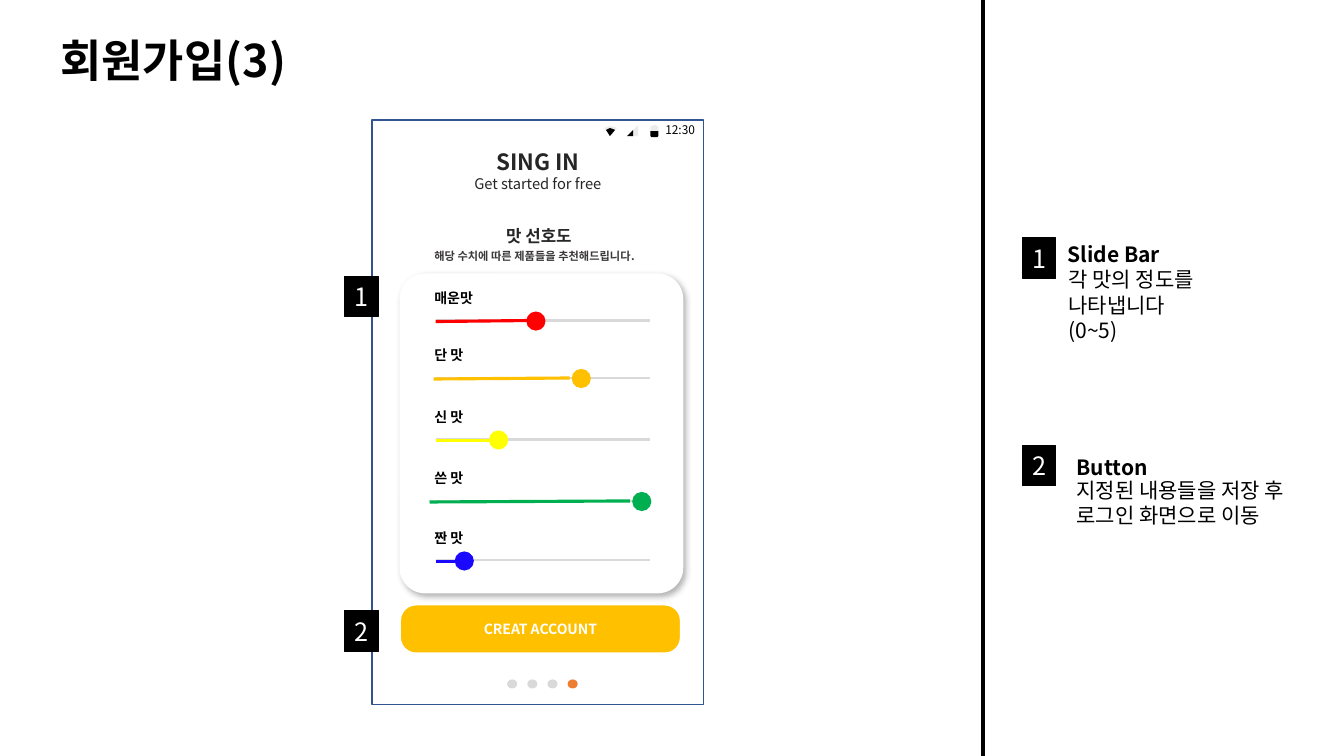
from lxml import etree
from pptx import Presentation
from pptx.dml.color import RGBColor
from pptx.enum.shapes import MSO_CONNECTOR, MSO_SHAPE
from pptx.enum.text import MSO_ANCHOR, MSO_AUTO_SIZE, PP_ALIGN
from pptx.oxml import parse_xml
from pptx.oxml.ns import nsdecls, qn
from pptx.util import Inches, Pt

FONT = "Noto Sans CJK KR"
BLACK = RGBColor(0x00, 0x00, 0x00)
WHITE = RGBColor(0xFF, 0xFF, 0xFF)
DARK = RGBColor(0x26, 0x26, 0x26)
BROWN = RGBColor(0x3B, 0x38, 0x38)
LIGHT = RGBColor(0xD9, 0xD9, 0xD9)
FADED = RGBColor(0xBF, 0xBF, 0xBF)
NAVY = RGBColor(0x32, 0x54, 0x91)
ORANGE = RGBColor(0xED, 0x7D, 0x31)
RED = RGBColor(0xFF, 0x00, 0x00)
AMBER = RGBColor(0xFF, 0xC0, 0x00)
YELLOW = RGBColor(0xFF, 0xFF, 0x00)
GREEN = RGBColor(0x00, 0xB0, 0x50)
BLUE = RGBColor(0x1B, 0x09, 0xFF)

prs = Presentation()
prs.slide_width, prs.slide_height = Inches(13.33), Inches(7.5)
slide = prs.slides.add_slide(prs.slide_layouts[5])
shapes = slide.shapes


def write(sp, lines, color, align=PP_ALIGN.LEFT):
    """Fill a shape with (text, size, bold) paragraphs."""
    tf = sp.text_frame
    tf.word_wrap = True
    for i, (text, size, bold) in enumerate(lines):
        p = tf.add_paragraph() if i else tf.paragraphs[0]
        p.alignment = align
        r = p.add_run()
        r.text = text
        for name, value in {"name": FONT, "size": Pt(size), "bold": bold}.items():
            setattr(r.font, name, value)
        r.font.color.rgb = color
        etree.SubElement(r.font._element, qn("a:ea"), typeface=FONT)


def draw(kind, box, fill=None, line=None, width=1):
    """Add a preset shape, or a straight line from (x1, y1) to (x2, y2)."""
    box = [Inches(v) for v in box]
    if kind is MSO_CONNECTOR.STRAIGHT:
        sp = shapes.add_connector(kind, *box)
        etree.SubElement(sp._element.spPr, qn("a:effectLst"))
    else:
        sp = shapes.add_shape(kind, *box)
        sp.shadow.inherit = False
        if fill is None:
            sp.fill.background()
        else:
            sp.fill.solid()
            sp.fill.fore_color.rgb = fill
    if line is None:
        sp.line.fill.background()
    else:
        sp.line.color.rgb = line
        sp.line.width = Pt(width)
    return sp


# Title
title = shapes.title
title.left, title.top, title.width, title.height = [Inches(v) for v in (0, 0.27, 13.33, 0.64)]
title.text_frame.margin_left = Inches(0.6)
title.text_frame.vertical_anchor = MSO_ANCHOR.TOP
write(title, [("회원가입(3)", 32, True)], BLACK)

# Status bar icons: battery, signal, wifi
icons = [
    (FADED, [(6.45, 1.3), (6.45, 1.25), (6.48, 1.25), (6.48, 1.24), (6.51, 1.24),
             (6.51, 1.25), (6.53, 1.25), (6.53, 1.3)]),
    (BLACK, [(6.45, 1.3), (6.53, 1.3), (6.53, 1.35), (6.52, 1.36), (6.46, 1.36), (6.45, 1.35)]),
    (FADED, [(6.33, 1.24), (6.28, 1.29), (6.28, 1.35), (6.33, 1.35)]),
    (BLACK, [(6.22, 1.35), (6.28, 1.35), (6.28, 1.29)]),
    (FADED, [(5.99, 1.27), (6.02, 1.26), (6.05, 1.25), (6.09, 1.26), (6.12, 1.27),
             (6.1, 1.29), (6.05, 1.27), (6.01, 1.29)]),
    (BLACK, [(6.01, 1.29), (6.03, 1.28), (6.05, 1.27), (6.08, 1.28), (6.1, 1.29), (6.05, 1.35)]),
]
for color, points in icons:
    points = [(Inches(x), Inches(y)) for x, y in points]
    builder = shapes.build_freeform(*points[0])
    builder.add_line_segments(points[1:], close=True)
    icon = builder.convert_to_shape()
    icon.shadow.inherit = False
    icon.fill.solid()
    icon.fill.fore_color.rgb = color
    icon.line.fill.background()
    if color == FADED:
        rgb = icon._element.spPr.find(".//" + qn("a:srgbClr"))
        etree.SubElement(rgb, qn("a:alpha"), val="30000")

# Phone frame and card
draw(MSO_SHAPE.RECTANGLE, (3.69, 1.19, 3.29, 5.8), line=NAVY)
card = draw(MSO_SHAPE.ROUNDED_RECTANGLE, (3.97, 2.72, 2.8, 3.16), WHITE, WHITE)
card.adjustments[0] = 0.088
card._element.spPr.find(qn("a:effectLst")).append(parse_xml(
    f'<a:outerShdw {nsdecls("a")} blurRad="57150" dist="33020" dir="3180000" algn="tl" '
    'rotWithShape="0"><a:srgbClr val="000000"><a:alpha val="30000"/></a:srgbClr></a:outerShdw>'))

# Page dots
for i, color in enumerate([LIGHT, LIGHT, LIGHT, ORANGE]):
    draw(MSO_SHAPE.OVAL, (5.03 + i * 0.2, 6.74, 0.1, 0.09), color)

# Taste sliders: label, track height, bar start, bar end, bar drop, knob left, colour
sliders = [
    ("매운맛", 3.18, 4.32, 5.23, 0, 5.22, RED),
    ("단 맛", 3.75, 4.3, 5.65, 0, 5.67, AMBER),
    ("신 맛", 4.36, 4.32, 4.95, 0.01, 4.85, YELLOW),
    ("쓴 맛", 4.97, 4.26, 6.25, 0, 6.27, GREEN),
    ("짠 맛", 5.56, 4.32, 4.6, 0.01, 4.51, BLUE),
]
labels = []
for label, y, start, end, drop, knob, color in sliders:
    labels.append(((4.21, y - 0.36, 0.79, 0.27), [(label, 10, True)], BLACK, PP_ALIGN.LEFT))
    draw(MSO_CONNECTOR.STRAIGHT, (4.32, y, 6.45, y), line=LIGHT, width=1.5)
    draw(MSO_CONNECTOR.STRAIGHT, (start, y + 0.01, end, y + drop), line=color, width=2.25)
    draw(MSO_SHAPE.OVAL, (knob, y - 0.09, 0.19, 0.19), color)

# Text boxes
texts = labels + [
    ((6.5, 1.17, 0.6, 0.24), [("12:30", 8.5, False)], BLACK, PP_ALIGN.LEFT),
    ((3.69, 1.42, 3.29, 0.56), [("SING IN", 16, True), ("Get started for free", 10.5, False)],
     DARK, PP_ALIGN.CENTER),
    ((3.7, 2.19, 3.29, 0.3), [("맛 선호도", 12, True)], DARK, PP_ALIGN.CENTER),
    ((4.21, 2.42, 2.43, 0.24), [("해당 수치에 따른 제품들을 추천해드립니다.", 8, True)],
     BROWN, PP_ALIGN.LEFT),
    ((10.49, 2.35, 1.7, 0.35), [("Slide Bar", 15, True)], BLACK, PP_ALIGN.LEFT),
    ((10.5, 2.6, 1.62, 0.86), [("각 맛의 정도를 나타냅니다(0~5)", 15, False)],
     BLACK, PP_ALIGN.LEFT),
    ((10.58, 4.46, 1.7, 0.35), [("Button", 15, True)], BLACK, PP_ALIGN.LEFT),
    ((10.58, 4.69, 2.63, 0.61), [("지정된 내용들을 저장 후 로그인 화면으로 이동", 15, False)],
     BLACK, PP_ALIGN.LEFT),
]
for box, lines, color, align in texts:
    sp = shapes.add_textbox(*[Inches(v) for v in box])
    write(sp, lines, color, align)
    sp.text_frame.auto_size = MSO_AUTO_SIZE.SHAPE_TO_FIT_TEXT

# Button
button = draw(MSO_SHAPE.ROUNDED_RECTANGLE, (3.97, 6, 2.78, 0.48), AMBER, WHITE)
button.adjustments[0] = 0.324
write(button, [("CREAT ACCOUNT", 10, True)], WHITE, PP_ALIGN.CENTER)

# Divider and number markers
draw(MSO_CONNECTOR.STRAIGHT, (9.75, 0, 9.75, 7.5), line=BLACK, width=3)
for number, x, y in [("1", 3.42, 2.74), ("2", 3.42, 6.06), ("2", 10.14, 4.42), ("1", 10.14, 2.36)]:
    marker = draw(MSO_SHAPE.RECTANGLE, (x, y, 0.33, 0.4), BLACK, BLACK, 0.75)
    write(marker, [(number, 18, False)], WHITE)

prs.save("out.pptx")
